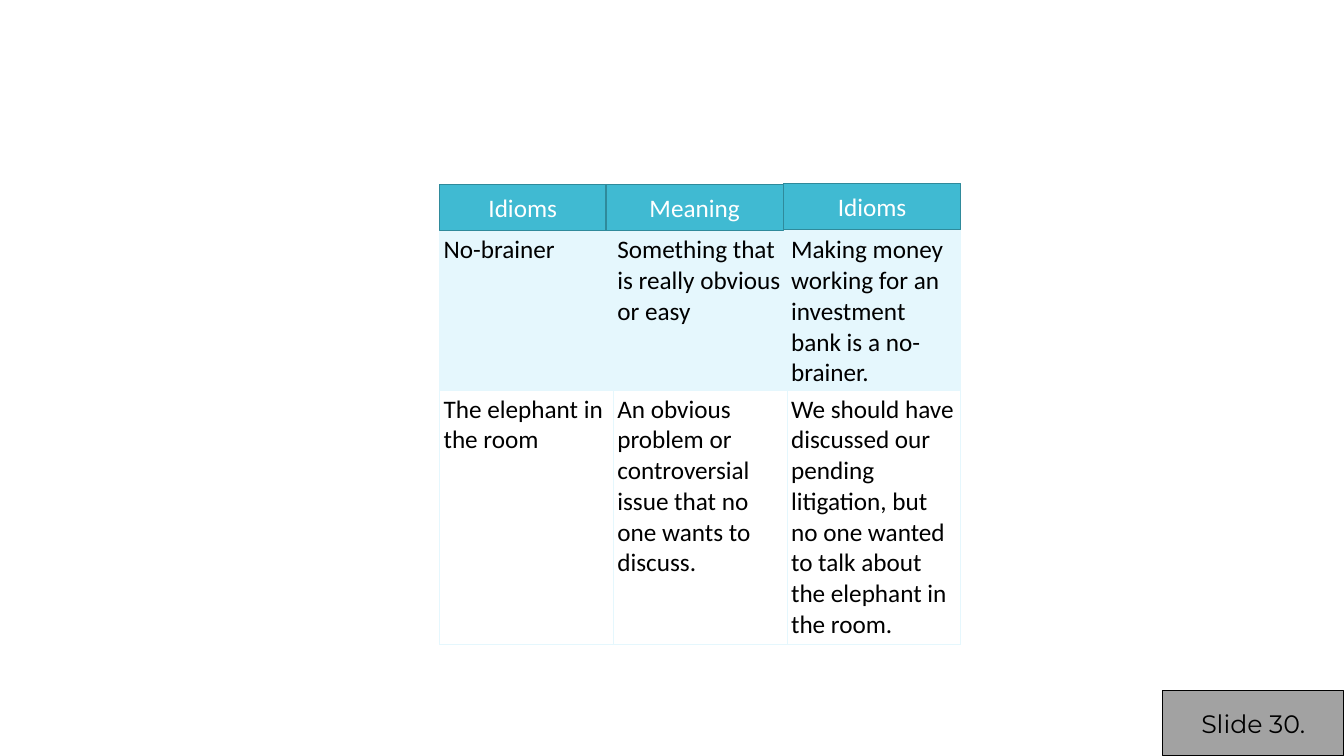
import pptx
import pptx.dml.color
import pptx.enum.shapes
import pptx.enum.text
import pptx.oxml
import pptx.oxml.ns
import pptx.util

Inches, Pt = pptx.util.Inches, pptx.util.Pt
SLIDE_W, SLIDE_H = 13.33, 7.5
COLORS = {
    "header": "40BAD2", "header_line": "2F8A9B", "band": "E5F7FD",
    "white": "FFFFFF", "black": "000000", "tag": "A2A2A2",
}
HEADERS = [("Idioms", 1.65, 0), ("Meaning", 1.76, 0), ("Idioms", 1.76, 0.01)]  # text, width, rise
HEADER_H = 0.46
IDIOMS = [  # cells, fill, height
    (["No-brainer", "Something that is really obvious or easy",
      "Making money working for an investment bank is a no-brainer."], "band", 1.58),
    (["The elephant in the room",
      "An obvious problem or controversial issue that no one wants to discuss.",
      "We should have discussed our pending litigation, but no one wanted "
      "to talk about the elephant in the room."], "white", 2.48),
]


def rgb(name):
    return pptx.dml.color.RGBColor.from_string(COLORS[name])


def style_text(p, font, color):
    for r in p.runs:
        r.font.name = font
        r.font.size = Pt(18)
        r.font.color.rgb = rgb(color)


def add_label(s, box, text, fill, line, line_width, font, color):
    sp = s.shapes.add_shape(pptx.enum.shapes.MSO_SHAPE.RECTANGLE, *map(Inches, box))
    sp.shadow.inherit = False
    sp.fill.solid()
    sp.fill.fore_color.rgb = rgb(fill)
    sp.line.color.rgb = rgb(line)
    sp.line.width = Pt(line_width)
    tf = sp.text_frame
    tf.text = text
    tf.vertical_anchor = pptx.enum.text.MSO_ANCHOR.MIDDLE
    tf.paragraphs[0].alignment = pptx.enum.text.PP_ALIGN.CENTER
    style_text(tf.paragraphs[0], font, color)


def add_borders(cell, color, width):
    tc_pr = cell._tc.get_or_add_tcPr()
    for side in "LRTB":
        tc_pr.append(pptx.oxml.parse_xml(
            f'<a:ln{side} {pptx.oxml.ns.nsdecls("a")} w="{Pt(width)}"><a:solidFill>'
            f'<a:srgbClr val="{COLORS[color]}"/></a:solidFill></a:ln{side}>'))


def add_idiom_row(s, box, texts, fill):
    table = s.shapes.add_table(1, len(texts), *map(Inches, box)).table
    table.first_row = table.horz_banding = False
    for cell, text in zip(table.rows[0].cells, texts):
        cell.margin_left = cell.margin_right = Inches(0.04)
        cell.margin_top = cell.margin_bottom = Inches(0.04)
        add_borders(cell, "band", 0.6)
        cell.fill.solid()
        cell.fill.fore_color.rgb = rgb(fill)
        cell.text_frame.text = text
        style_text(cell.text_frame.paragraphs[0], "Calibri", "black")


def add_idiom_grid(s, left, top, width):
    """Stack the idiom rows below the header labels."""
    row_top = top + HEADER_H
    for texts, fill, height in IDIOMS:
        add_idiom_row(s, (left, row_top, width, height), texts, fill)
        row_top += height
    x = left
    for text, label_w, rise in HEADERS:
        add_label(s, (x, top - rise, label_w, HEADER_H), text,
                  "header", "header_line", 0.85, "Calibri", "white")
        x += label_w


def add_slide_tag(s, width, height):
    add_label(s, (SLIDE_W - width, SLIDE_H - height, width, height), "Slide 30.",
              "tag", "black", 0.75, "Montserrat", "black")


def main():
    prs = pptx.Presentation()
    prs.slide_width, prs.slide_height = Inches(SLIDE_W), Inches(SLIDE_H)
    s = prs.slides.add_slide(prs.slide_layouts[6])
    add_idiom_grid(s, 4.36, 1.83, 5.17)
    add_slide_tag(s, 1.8, 0.65)
    prs.save("out.pptx")


if __name__ == "__main__":
    main()
